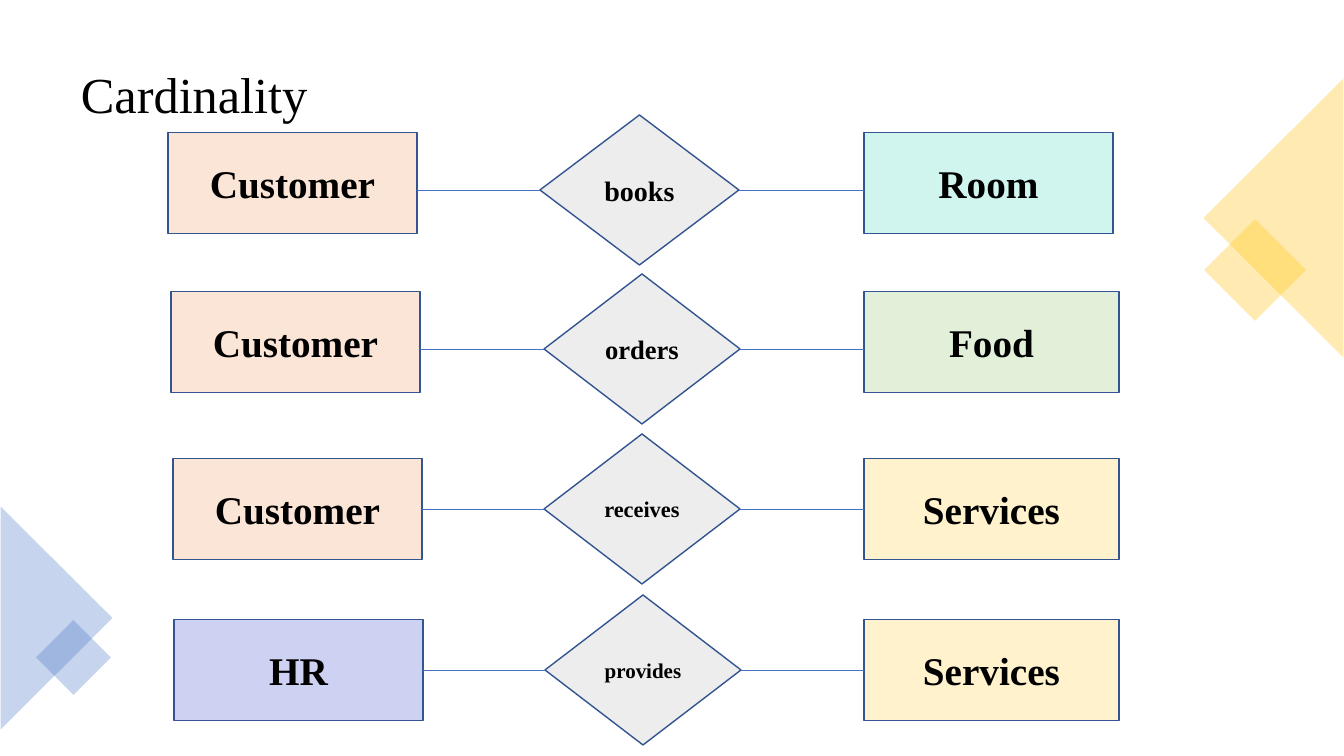
from lxml.etree import SubElement
from pptx import Presentation
from pptx.dml.color import RGBColor
from pptx.enum.shapes import MSO_CONNECTOR, MSO_SHAPE
from pptx.enum.text import MSO_ANCHOR, PP_ALIGN
from pptx.oxml.ns import qn
from pptx.util import Pt

TITLE = "Cardinality"
FONT = "Times New Roman"
YELLOW, BLUE = "FFC000", "4472C4"
OUTLINE, DIAMOND_FILL = "325491", "EDEDED"
PEACH, MINT, GREEN, CREAM, LILAC = "FBE5D6", "D0F5EF", "E2F0D9", "FFF2CC", "CED2F2"

# shape, (left, top, width, height), rotation, colour
DECORATIONS = [
    (MSO_SHAPE.RECTANGLE, (1219, 234, 72, 72), 45, YELLOW),
    (MSO_SHAPE.ISOSCELES_TRIANGLE, (1134, 148, 279, 140), 270, YELLOW),
    (MSO_SHAPE.ISOSCELES_TRIANGLE, (-55, 562, 223, 112), 90, BLUE),
    (MSO_SHAPE.RECTANGLE, (47, 631, 53, 53), 45, BLUE),
]

# middle of the row, how far its entities sit above that,
# (left entity, fill, x), (verb, size, x, width), (right entity, fill, width)
RELATIONS = [
    (190, 7, ("Customer", PEACH, 168), ("books", 20, 540, 199), ("Room", MINT, 249)),
    (349, 7, ("Customer", PEACH, 171), ("orders", 19, 544, 196), ("Food", GREEN, 255)),
    (509, 0, ("Customer", PEACH, 173), ("receives", 16, 544, 196), ("Services", CREAM, 255)),
    (670, 0, ("HR", LILAC, 174), ("provides", 15, 545, 196), ("Services", CREAM, 255)),
]
ENTITY_HEIGHT, DIAMOND_HEIGHT = 101, 150
LEFT_WIDTH, RIGHT_X = 249, 864
TOP, LEFT, BOTTOM, RIGHT = range(4)

PX = 914400 / 100.8


def px(length):
    return round(length * PX)


def color(value):
    return RGBColor.from_string(value)


def write(shape, text, size=28, bold=True, align=PP_ALIGN.CENTER, wrap=False, spacing=None):
    frame = shape.text_frame
    frame.word_wrap = wrap
    frame.vertical_anchor = MSO_ANCHOR.MIDDLE
    para = frame.paragraphs[0]
    para.alignment = align
    para.line_spacing = spacing
    span = para.add_run()
    span.text = text
    span.font.name = FONT
    span.font.size = Pt(size)
    span.font.bold = bold
    span.font.color.rgb = color("000000")


def add_filled(page, kind, bounds, fill):
    shape = page.shapes.add_shape(kind, *map(px, bounds))
    shape.shadow.inherit = False
    shape.fill.solid()
    shape.fill.fore_color.rgb = color(fill)
    return shape


def add_decoration(page, kind, bounds, rotation, fill):
    shape = add_filled(page, kind, bounds, fill)
    shape.rotation = rotation
    shape.line.fill.background()
    solid = shape.fill._xPr.find(qn("a:solidFill"))
    SubElement(solid[0], qn("a:alpha"), val="30000")


def add_node(page, kind, left, middle, width, height, fill, text, size=28):
    """Add an outlined, labelled shape centred vertically on middle."""
    shape = add_filled(page, kind, (left, middle - height / 2, width, height), fill)
    shape.line.color.rgb = color(OUTLINE)
    shape.line.width = Pt(1)
    write(shape, text, size=size)
    return shape


def add_link(page, entity, entity_side, diamond, diamond_side, middle, joined):
    """Link an entity to its diamond; joined when their middles are level."""
    edge = entity.left + (entity.width if entity_side == RIGHT else 0)
    line = page.shapes.add_connector(MSO_CONNECTOR.STRAIGHT, edge, px(middle), edge, px(middle))
    if joined:
        line.begin_connect(entity, entity_side)
    line.end_connect(diamond, diamond_side)
    line.line.color.rgb = color(BLUE)
    line.line.width = Pt(0.5)
    SubElement(line._element.spPr, qn("a:effectLst"))


def add_relation(page, middle, lift, left_entity, verb, right_entity):
    left_name, left_fill, left_x = left_entity
    verb_name, verb_size, verb_x, verb_width = verb
    right_name, right_fill, right_width = right_entity
    level = middle - lift
    left = add_node(page, MSO_SHAPE.RECTANGLE, left_x, level, LEFT_WIDTH,
                    ENTITY_HEIGHT, left_fill, left_name)
    diamond = add_node(page, MSO_SHAPE.FLOWCHART_DECISION, verb_x, middle, verb_width,
                       DIAMOND_HEIGHT, DIAMOND_FILL, verb_name, verb_size)
    right = add_node(page, MSO_SHAPE.RECTANGLE, RIGHT_X, level, right_width,
                     ENTITY_HEIGHT, right_fill, right_name)
    add_link(page, left, RIGHT, diamond, LEFT, middle, joined=lift == 0)
    add_link(page, right, LEFT, diamond, RIGHT, middle, joined=lift == 0)


def main():
    deck = Presentation()
    deck.slide_width, deck.slide_height = px(1344), px(756)
    page = deck.slides.add_slide(deck.slide_layouts[6])
    title = page.shapes.add_textbox(*map(px, (71, 35, 1203, 125)))
    write(title, TITLE, size=36, bold=False, align=PP_ALIGN.LEFT, wrap=True, spacing=0.9)
    for decoration in DECORATIONS:
        add_decoration(page, *decoration)
    for relation in RELATIONS:
        add_relation(page, *relation)
    deck.save("out.pptx")


if __name__ == "__main__":
    main()
